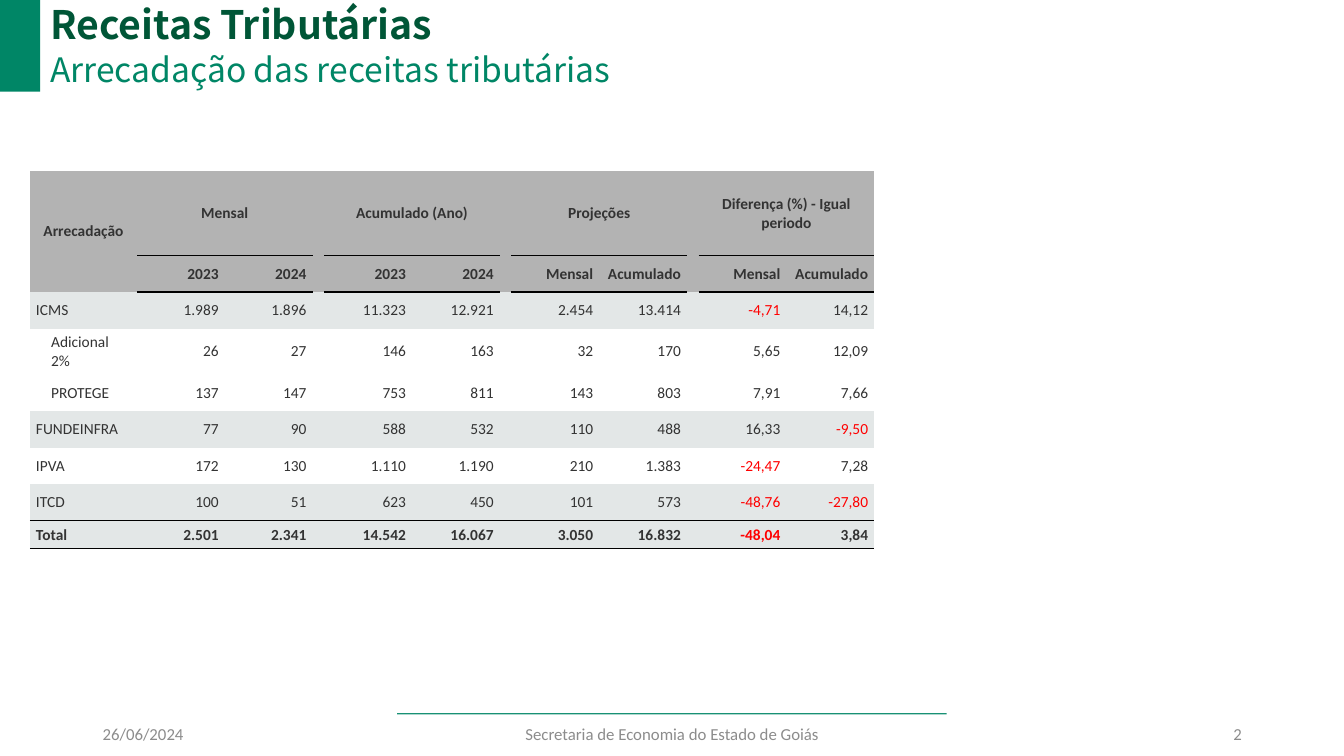
import pptx
import pptx.dml.color
import pptx.enum.shapes
import pptx.enum.text
import pptx.oxml
import pptx.oxml.ns
import pptx.util
from lxml import etree

Pt = pptx.util.Pt
ALIGN = pptx.enum.text.PP_ALIGN
MIDDLE = pptx.enum.text.MSO_ANCHOR.MIDDLE
TOP = pptx.enum.text.MSO_ANCHOR.TOP
GREEN, INK, GREY, RED = "008666", "333333", "8C8C8C", "FF0000"
HEADER_FILL, BAND_FILL = "B3B3B3", "E3E7E7"
NO_STYLE = "{2D5ABB26-0587-4C30-8999-92F81FD0307C}"
GROUPS = ["Mensal", "Acumulado (Ano)", "Projeções", "Diferença (%) - Igual periodo"]
HEADINGS = ["2023", "2024", "2023", "2024", "Mensal", "Acumulado", "Mensal", "Acumulado"]
BODY = [
    ["ICMS", "1.989", "1.896", "11.323", "12.921", "2.454", "13.414", "-4,71", "14,12"],
    ["Adicional 2%", "26", "27", "146", "163", "32", "170", "5,65", "12,09"],
    ["PROTEGE", "137", "147", "753", "811", "143", "803", "7,91", "7,66"],
    ["FUNDEINFRA", "77", "90", "588", "532", "110", "488", "16,33", "-9,50"],
    ["IPVA", "172", "130", "1.110", "1.190", "210", "1.383", "-24,47", "7,28"],
    ["ITCD", "100", "51", "623", "450", "101", "573", "-48,76", "-27,80"],
    ["Total", "2.501", "2.341", "14.542", "16.067", "3.050", "16.832", "-48,04", "3,84"],
]
BANDED = {"ICMS", "FUNDEINFRA", "ITCD", "Total"}
SUBITEMS = {"Adicional 2%", "PROTEGE"}


def rgb(value):
    """Turn a hex string into a colour."""
    return pptx.dml.color.RGBColor.from_string(value)


def set_values(target, values):
    """Set attributes from a dict of format values."""
    for name, value in values.items():
        setattr(target, name, value)


def write(frame, text, color, font, align=ALIGN.LEFT):
    """Write one formatted span and return its paragraph."""
    para = frame.paragraphs[0]
    para.alignment = align
    span = para.add_run()
    span.text = text
    set_values(span.font, font)
    span.font.color.rgb = rgb(color)
    return para


def fill_box(box, place, text, color, font, align=ALIGN.LEFT, anchor=MIDDLE):
    """Place a text holder and write its text."""
    set_values(box, dict(zip(("left", "top", "width", "height"), map(Pt, place))))
    set_values(box.text_frame, {
        "word_wrap": True, "auto_size": pptx.enum.text.MSO_AUTO_SIZE.NONE,
        "vertical_anchor": anchor, "margin_left": Pt(7.2), "margin_right": Pt(7.2),
        "margin_top": Pt(0), "margin_bottom": Pt(0)})
    write(box.text_frame, text, color, font, align)


def add_text(slide, *details):
    """Add a text box."""
    fill_box(slide.shapes.add_textbox(0, 0, 0, 0), *details)


def add_block(slide, place, color):
    """Add a plain filled rectangle."""
    block = slide.shapes.add_shape(pptx.enum.shapes.MSO_SHAPE.RECTANGLE, *map(Pt, place))
    block.shadow.inherit = False
    block.fill.solid()
    block.fill.fore_color.rgb = rgb(color)
    block.line.fill.background()


def add_rule(slide, left, right, top, color):
    """Add a slightly transparent horizontal line."""
    rule = slide.shapes.add_connector(
        pptx.enum.shapes.MSO_CONNECTOR.STRAIGHT, Pt(left), Pt(top), Pt(right), Pt(top))
    rule.line.width = Pt(1)
    rule.line.color.rgb = rgb(color)
    qn = pptx.oxml.ns.qn
    shade = next(rule.element.iter(qn("a:srgbClr")))
    etree.SubElement(shade, qn("a:alpha"), val="90000")
    etree.SubElement(rule.element.spPr, qn("a:effectLst"))


def add_border(cell, side):
    """Draw a black border on the side T or B of a cell."""
    cell._tc.get_or_add_tcPr().append(pptx.oxml.parse_xml(
        f'<a:ln{side} xmlns:a="http://schemas.openxmlformats.org/drawingml/2006/main" '
        f'w="{Pt(1.1)}"><a:solidFill><a:srgbClr val="000000"/></a:solidFill></a:ln{side}>'))


def format_cell(cell, text, fill, bold, align, indent=4.32, borders=""):
    """Fill, border and write one table cell."""
    for side in borders:
        add_border(cell, side)
    set_values(cell, {"margin_left": 0, "margin_right": 0, "margin_top": Pt(2.88),
                      "margin_bottom": Pt(2.88), "vertical_anchor": MIDDLE})
    if fill:
        cell.fill.solid()
        cell.fill.fore_color.rgb = rgb(fill)
    else:
        cell.fill.background()
    if not text:
        para = cell.text_frame.paragraphs[0]
        etree.SubElement(para._p, pptx.oxml.ns.qn("a:endParaRPr"), sz="1100")
        return
    color = RED if text.startswith("-") else INK
    font = {"name": "Calibri", "size": Pt(11), "bold": bold}
    para = write(cell.text_frame, text, color, font, align)
    set_values(para, {"space_before": Pt(3), "space_after": Pt(3)})
    properties = para._p.get_or_add_pPr()
    properties.set("marL", str(Pt(indent)))
    properties.set("marR", str(Pt(4.32)))
    properties.set("indent", "0")


def spread(values):
    """Put an empty spacer column between the pairs of values."""
    row = [values[0]]
    for start in range(1, len(values), 2):
        row += ([""] if start > 1 else []) + values[start:start + 2]
    return row


def add_revenue_table(slide):
    """Add the table of tax revenues."""
    widths = spread([76.5] + [62.7] * 8)
    heights = [60.4] + [26.1] * 7 + [20]
    frame = slide.shapes.add_table(
        len(heights), len(widths), Pt(21.4), Pt(122.2), Pt(602), Pt(263))
    next(frame.element.iter(pptx.oxml.ns.qn("a:tableStyleId"))).text = NO_STYLE
    table = frame.table
    set_values(table, {"first_row": False, "horz_banding": False})
    for column, width in zip(table.columns, widths):
        column.width = Pt(width or 8.4)
    for row, height in zip(table.rows, heights):
        row.height = Pt(height)
    groups = [cell for name in GROUPS for cell in (name, "")]
    header = [spread(["Arrecadação"] + groups), spread([""] + HEADINGS)]
    for row, texts in enumerate(header):
        for column, text in enumerate(texts):
            spacer = column % 3 == 0
            align = ALIGN.RIGHT if row else ALIGN.CENTER
            borders = "" if spacer else "BT"[row]
            format_cell(table.cell(row, column), text, HEADER_FILL, True, align,
                        borders=borders)
    table.cell(0, 0).merge(table.cell(1, 0))
    for column in range(1, len(widths), 3):
        table.cell(0, column).merge(table.cell(0, column + 1))
    for row, values in enumerate(BODY, 2):
        name = values[0]
        fill = BAND_FILL if name in BANDED else None
        borders = {"ITCD": "B", "Total": "TB"}.get(name, "")
        for column, text in enumerate(spread(values)):
            align = ALIGN.RIGHT if column else ALIGN.LEFT
            indent = 15.12 if text in SUBITEMS else 4.32
            format_cell(table.cell(row, column), text, fill, name == "Total",
                        align, indent, borders)


def main():
    """Build the slide and save the deck."""
    deck = pptx.Presentation()
    set_values(deck, {"slide_width": Pt(960), "slide_height": Pt(540)})
    slide = deck.slides.add_slide(deck.slide_layouts.get_by_name("Title Only"))
    add_rule(slide, 283.7, 676.1, 509.8, GREEN)
    add_block(slide, (0, 0, 28.8, 65.5), GREEN)
    fill_box(slide.shapes.title, (28.8, 0, 828, 34.6), "Receitas Tributárias", "005637",
             {"name": "Noto Sans CJK SC", "size": Pt(28), "bold": True})
    add_text(slide, (28.8, 34.6, 671.8, 31), "Arrecadação das receitas tributárias", GREEN,
             {"name": "Noto Sans CJK TC", "size": Pt(24)}, ALIGN.LEFT, TOP)
    for left, width, text, align in (
            (66.2, 216, "26/06/2024", ALIGN.LEFT),
            (318.2, 324, "Secretaria de Economia do Estado de Goiás", ALIGN.CENTER),
            (678.2, 216, "2", ALIGN.RIGHT)):
        add_text(slide, (left, 509.8, width, 28.8), text, GREY,
                 {"name": "Calibri", "size": Pt(12)}, align)
    add_revenue_table(slide)
    deck.save("out.pptx")


if __name__ == "__main__":
    main()
